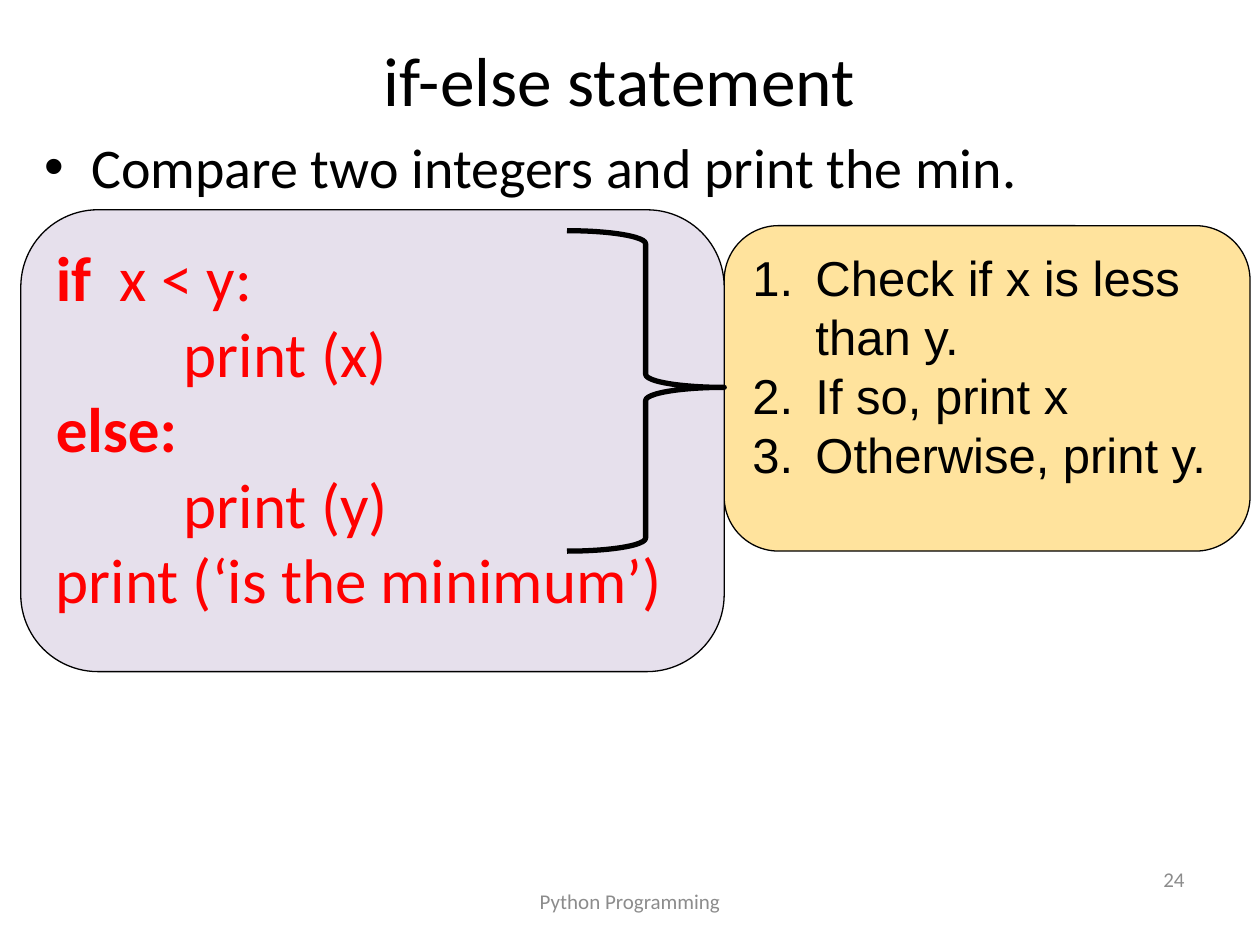
from lxml import etree
from pptx import Presentation
from pptx.dml.color import RGBColor
from pptx.enum.shapes import MSO_SHAPE
from pptx.enum.text import MSO_ANCHOR, PP_ALIGN
from pptx.oxml.ns import qn
from pptx.util import Cm, Pt

ROUNDED, BRACE = MSO_SHAPE.ROUNDED_RECTANGLE, MSO_SHAPE.LEFT_BRACE
TOP, MIDDLE = MSO_ANCHOR.TOP, MSO_ANCHOR.MIDDLE
LEFT, CENTER, RIGHT = PP_ALIGN.LEFT, PP_ALIGN.CENTER, PP_ALIGN.RIGHT

COLORS = {
    "black": "000000",
    "gray": "8C8C8C",
    "red": "FF0000",
    "lavender": "E6E0EC",
    "yellow": "FFE39D",
}
CODE = [
    ("if", "  x < y:"),
    ("", "         print (x)"),
    ("else:", ""),
    ("", "         print (y)"),
    ("", "print (‘is the minimum’)"),
]
STEPS = ["Check if x is less than y.", "If so, print x", "Otherwise, print y."]


def color(name):
    return RGBColor.from_string(COLORS[name])


def add_marker(para, indent, tag, **attributes):
    """Give the paragraph a hanging bullet or number."""
    properties = para._p.get_or_add_pPr()
    properties.set("marL", str(indent))
    properties.set("indent", str(-indent))
    etree.SubElement(properties, qn("a:buFont"), typeface="Arial")
    etree.SubElement(properties, qn(tag), **attributes)


def style_para(para, size, font="Calibri", ink="black", align=LEFT):
    para.alignment = align
    para.font.size = Pt(size)
    para.font.name = font
    para.font.color.rgb = color(ink)


def next_para(frame, index):
    return frame.add_paragraph() if index else frame.paragraphs[0]


def add_text(page, text, place, size, ink="black", align=LEFT, anchor=MIDDLE):
    frame = page.shapes.add_textbox(*map(Cm, place)).text_frame
    frame.word_wrap = True
    frame.vertical_anchor = anchor
    para = frame.paragraphs[0]
    para.text = text
    style_para(para, size, ink=ink, align=align)
    return para


def add_outlined(page, kind, place, fill, width, adjustments):
    shape = page.shapes.add_shape(kind, *map(Cm, place))
    shape.shadow.inherit = False
    shape.fill.solid()
    shape.fill.fore_color.rgb = color(fill)
    shape.line.color.rgb = color("black")
    shape.line.width = Pt(width)
    for index, value in enumerate(adjustments):
        shape.adjustments[index] = value
    return shape


def add_panel(page, place, fill):
    """Add a rounded panel and return its text frame."""
    frame = add_outlined(page, ROUNDED, place, fill, 0.75, [0.167]).text_frame
    frame.word_wrap = True
    frame.vertical_anchor = TOP
    return frame


def add_steps(page):
    frame = add_panel(page, (14.6, 4.55, 10.6, 6.56), "yellow")
    for index, step in enumerate(STEPS):
        para = next_para(frame, index)
        para.text = step
        add_marker(para, Cm(1.27), "a:buAutoNum", type="arabicPeriod")
        style_para(para, 28, font="Arial")


def add_code(page):
    frame = add_panel(page, (0.42, 4.23, 14.18, 9.31), "lavender")
    for index, (keyword, rest) in enumerate(CODE):
        para = next_para(frame, index)
        style_para(para, 36, ink="red")
        for text, bold in ((keyword, True), (rest, False)):
            if text:
                span = para.add_run()
                span.text = text
                span.font.bold = bold


def main():
    deck = Presentation()
    deck.slide_width, deck.slide_height = Cm(25.4), Cm(19.05)
    page = deck.slides.add_slide(deck.slide_layouts[6])

    add_text(page, "if-else statement", (1.69, 0.85, 21.59, 1.48), 39.6, align=CENTER)
    task = add_text(page, "Compare two integers and print the min.",
                    (0.64, 2.54, 24.55, 3.18), 32, anchor=TOP)
    add_marker(task, Cm(0.95), "a:buChar", char="•")
    # The schema wants the default run properties after the bullet.
    properties = task._p.pPr
    properties.append(properties.find(qn("a:defRPr")))

    add_text(page, "Python Programming", (8.68, 17.65, 8.04, 1.02), 12, "gray", CENTER)
    add_text(page, "24", (18.2, 17.22, 5.93, 1.02), 12, "gray", RIGHT)
    add_steps(page)
    add_code(page)
    brace = add_outlined(page, BRACE, (11.43, 4.65, 3.17, 6.46), "lavender", 3,
                         [0.083, 0.511])
    brace.rotation = 180

    deck.save("out.pptx")


if __name__ == "__main__":
    main()
